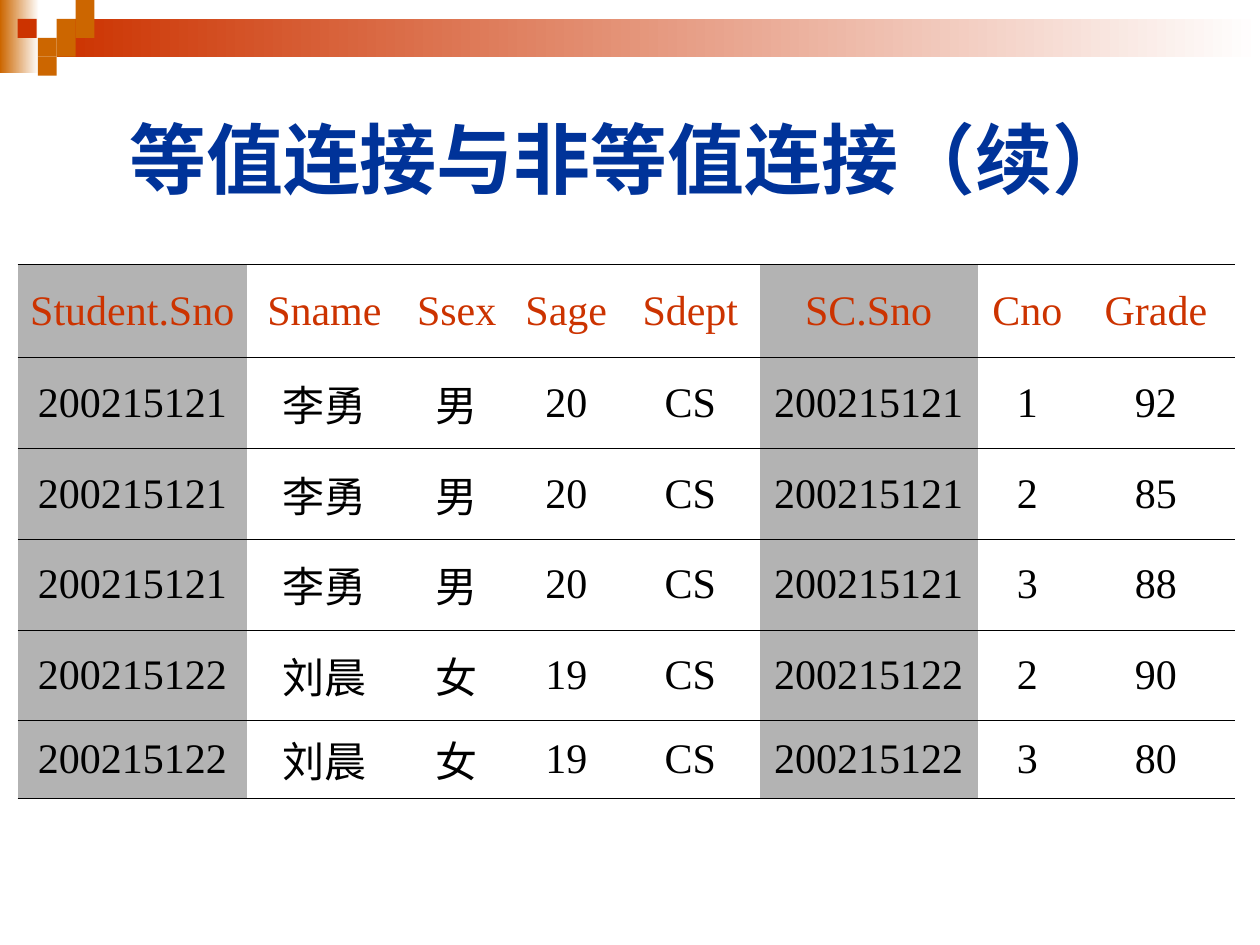
from lxml import etree
from pptx import Presentation
from pptx.dml.color import RGBColor
from pptx.enum import shapes, text
from pptx.oxml.ns import qn
from pptx.util import Inches, Pt

ORANGE, RED, WHITE = "CC6600", "CC3300", "FFFFFF"
BLUE, GREY, BLACK = "003399", "B3B3B3", "000000"

COLUMN_WIDTHS = [1.82, 1.23, 0.87, 0.87, 1.1, 1.73, 0.79, 1.25]
ROW_HEIGHTS = [0.74, 0.72, 0.72, 0.72, 0.72, 0.62]
KEY_COLUMNS = (0, 5)
HEADER = ["Student.Sno", "Sname", "Ssex", "Sage", "Sdept", "SC.Sno", "Cno", "Grade"]
LI_YONG = ["200215121", "李勇", "男", "20", "CS", "200215121"]
LIU_CHEN = ["200215122", "刘晨", "女", "19", "CS", "200215122"]
ROWS = [
    HEADER,
    LI_YONG + ["1", "92"],
    LI_YONG + ["2", "85"],
    LI_YONG + ["3", "88"],
    LIU_CHEN + ["2", "90"],
    LIU_CHEN + ["3", "80"],
]


def color(value):
    return RGBColor.from_string(value)


def add_block(page, left, top, width, height, fill, fades=False):
    """Add a borderless rectangle, optionally fading to white on the right."""
    block = page.shapes.add_shape(
        shapes.MSO_SHAPE.RECTANGLE,
        Inches(left), Inches(top), Inches(width), Inches(height))
    block.shadow.inherit = False
    block.line.fill.background()
    if fades:
        block.fill.gradient()
        block.fill.gradient_angle = 180
        for stop, value in zip(block.fill.gradient_stops, (WHITE, fill)):
            stop.color.rgb = color(value)
    else:
        block.fill.solid()
        block.fill.fore_color.rgb = color(fill)


def format_text(paragraph, font, size, value, bold=False):
    paragraph.alignment = text.PP_ALIGN.CENTER
    for span in paragraph.runs:
        span.font.name = font
        span.font.size = Pt(size)
        span.font.bold = bold
        span.font.color.rgb = color(value)


def add_banner(page):
    add_block(page, 0, 0, 0.31, 0.58, ORANGE, fades=True)
    add_block(page, 0.45, 0.15, 9.55, 0.3, RED, fades=True)
    side = 0.15
    for column, row in [(3, 1), (4, 0), (4, 1), (2, 2), (3, 2), (2, 3)]:
        add_block(page, column * side, row * side, side, side, ORANGE)
    add_block(page, 0.14, 0.15, side, side, RED)


def add_title(page, title):
    box = page.shapes.add_textbox(Inches(0.5), Inches(0.5), Inches(9), Inches(1.5))
    frame = box.text_frame
    frame.word_wrap = True
    frame.vertical_anchor = text.MSO_ANCHOR.MIDDLE
    frame.text = title
    format_text(frame.paragraphs[0], "Arial", 44, BLUE, bold=True)


def set_borders(cell):
    """Rule the cell above and below, and leave its sides open."""
    properties = cell._tc.get_or_add_tcPr()
    for side in ("L", "R", "T", "B"):
        line = etree.SubElement(properties, qn(f"a:ln{side}"), w=str(Pt(0.45)))
        if side in "LR":
            etree.SubElement(line, qn("a:noFill"))
        else:
            fill = etree.SubElement(line, qn("a:solidFill"))
            etree.SubElement(fill, qn("a:srgbClr"), val=BLACK)


def fill_cell(cell, content, value, shaded):
    set_borders(cell)
    if shaded:
        cell.fill.solid()
        cell.fill.fore_color.rgb = color(GREY)
    else:
        cell.fill.background()
    cell.vertical_anchor = text.MSO_ANCHOR.MIDDLE
    # Slightly narrow margins keep the widest heading on one line
    cell.margin_left = cell.margin_right = Inches(0.09)
    cell.text = content
    paragraph = cell.text_frame.paragraphs[0]
    format_text(paragraph, "Times New Roman", 24, value)
    # Hanging indent
    properties = paragraph._p.get_or_add_pPr()
    properties.set("marL", str(Inches(0.38)))
    properties.set("indent", str(Inches(-0.38)))


def add_join_table(page):
    table = page.shapes.add_table(
        len(ROWS), len(HEADER), Inches(0.14), Inches(2.1),
        Inches(sum(COLUMN_WIDTHS)), Inches(sum(ROW_HEIGHTS))).table
    table.first_row = table.horz_banding = False
    for column, width in zip(table.columns, COLUMN_WIDTHS):
        column.width = Inches(width)
    for row, height in zip(table.rows, ROW_HEIGHTS):
        row.height = Inches(height)
    for r, values in enumerate(ROWS):
        for c, content in enumerate(values):
            fill_cell(table.cell(r, c), content, BLACK if r else RED, c in KEY_COLUMNS)


def main():
    deck = Presentation()
    deck.slide_width, deck.slide_height = Inches(10), Inches(7.5)
    page = deck.slides.add_slide(deck.slide_layouts[6])
    add_banner(page)
    add_title(page, "等值连接与非等值连接（续）")
    add_join_table(page)
    deck.save("out.pptx")


if __name__ == "__main__":
    main()
